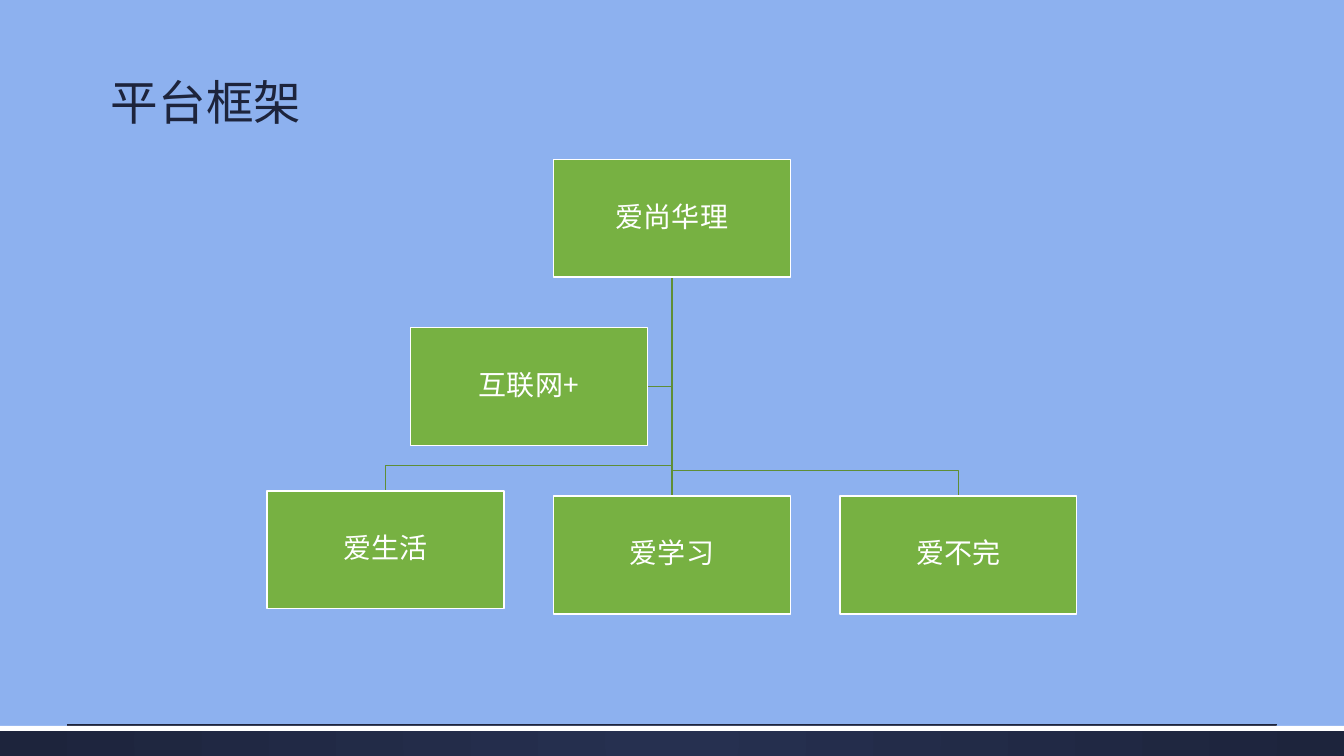
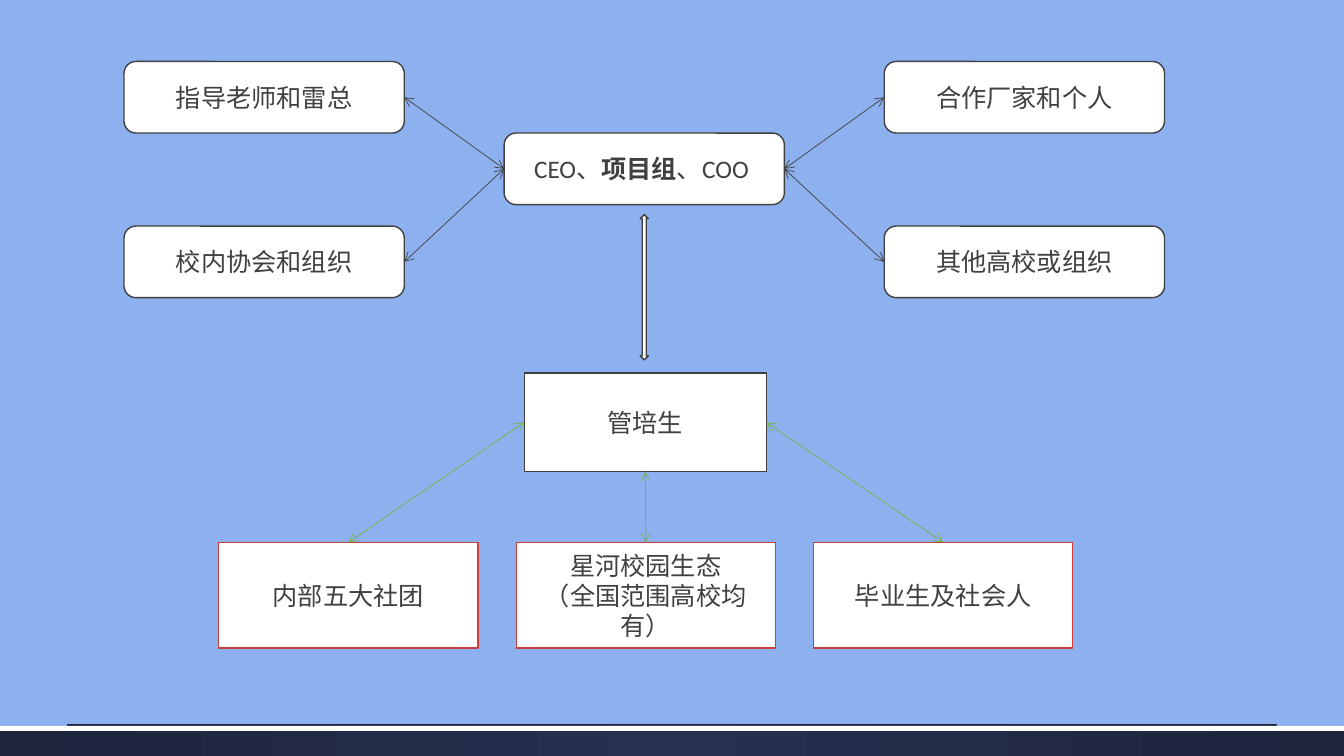
from dataclasses import dataclass

from lxml import etree
from pptx import Presentation
from pptx import util as u
from pptx.dml.color import RGBColor
from pptx.enum import shapes, text
from pptx.oxml.ns import qn

WIDTH, HEIGHT = 13.33, 7.5
SKY, NAVY, NAVY_LIGHT = "8DB1EF", "1D243C", "263050"
GREEN, GREEN_DARK, RED = "77B142", "5F8E35", "CB3E3A"
WHITE, GREY = "FFFFFF", "404040"
CJK, CJK_TITLE, LATIN = "Noto Sans CJK SC", "Noto Sans CJK JP", "Calibri"
RECT = shapes.MSO_SHAPE.RECTANGLE
ROUNDED = shapes.MSO_SHAPE.ROUNDED_RECTANGLE
TOP, LEFT, BOTTOM, RIGHT = range(4)


@dataclass(frozen=True)
class Node:
    label: str
    col: float
    row: float = 0
    bold: str = ""


@dataclass(frozen=True)
class Grid:
    """Places boxes of one size by column and row."""
    left: float
    top: float
    width: float
    height: float
    col_step: float = 0
    row_step: float = 0

    def box(self, node: Node) -> tuple[float, float, float, float]:
        return (self.left + node.col * self.col_step,
                self.top + node.row * self.row_step, self.width, self.height)


@dataclass(frozen=True)
class Style:
    fill: str
    line: str
    ink: str
    size: float
    latin: str
    shape: int = RECT
    inset: float = 0.1
    spacing: float = 1.0


ORG_STYLE = Style(GREEN, WHITE, WHITE, 20, CJK, inset=0.01, spacing=0.9)
PARTNER_STYLE = Style(WHITE, GREY, GREY, 18, LATIN, ROUNDED)
TRAINEE_STYLE = Style(WHITE, GREY, GREY, 18, LATIN)
GROUP_STYLE = Style(WHITE, RED, GREY, 18, LATIN)


def color(hex_code: str) -> RGBColor:
    return RGBColor.from_string(hex_code)


def set_line(line, hex_code: str, points: float) -> None:
    line.color.rgb = color(hex_code)
    line.width = u.Pt(points)


def set_font(run, latin: str, east_asian: str, size: float, ink: str,
             bold: bool = False) -> None:
    run.font.size = u.Pt(size)
    run.font.bold = bold
    run.font.color.rgb = color(ink)
    run.font.name = latin
    etree.SubElement(run.font._element, qn("a:ea"), typeface=east_asian)


def add_box(slide, kind: int, box: tuple, fill: str, line: str = ""):
    shape = slide.shapes.add_shape(kind, *map(u.Inches, box))
    shape.shadow.inherit = False
    shape.fill.solid()
    shape.fill.fore_color.rgb = color(fill)
    if line:
        set_line(shape.line, line, 1)
    else:
        shape.line.fill.background()
    return shape


def add_node(slide, node: Node, grid: Grid, style: Style):
    shape = add_box(slide, style.shape, grid.box(node), style.fill, style.line)
    frame = shape.text_frame
    frame.word_wrap = True
    frame.vertical_anchor = text.MSO_ANCHOR.MIDDLE
    frame.margin_left = frame.margin_right = u.Inches(style.inset)
    frame.margin_top = frame.margin_bottom = u.Inches(min(style.inset, 0.05))
    frame.text = node.label
    for paragraph in frame.paragraphs:
        paragraph.alignment = text.PP_ALIGN.CENTER
        paragraph.line_spacing = style.spacing
        if node.bold:
            before, strong, after = paragraph.text.partition(node.bold)
            paragraph.text = before
            paragraph.add_run().text = strong
            paragraph.add_run().text = after
        for run in paragraph.runs:
            set_font(run, style.latin, CJK, style.size, style.ink,
                     run.text == node.bold)
    return shape


def add_line(slide, start: tuple, end: tuple, hex_code: str):
    line = slide.shapes.add_connector(
        shapes.MSO_CONNECTOR.STRAIGHT, *map(u.Inches, (*start, *end)))
    set_line(line.line, hex_code, 0.5)
    etree.SubElement(line._element.spPr, qn("a:effectLst"))
    return line


def join(slide, source, source_side: int, target, target_side: int,
         hex_code: str) -> None:
    """Draws a double-headed arrow between two sides."""
    arrow = add_line(slide, (0, 0), (0, 0), hex_code)
    arrow.begin_connect(source, source_side)
    arrow.end_connect(target, target_side)
    outline = arrow.line._get_or_add_ln()
    for end in ("a:headEnd", "a:tailEnd"):
        etree.SubElement(outline, qn(end), type="arrow")


def add_branch(slide, points: list[tuple[float, float]]) -> None:
    start, *rest = [(u.Inches(x), u.Inches(y)) for x, y in points]
    builder = slide.shapes.build_freeform(*start)
    builder.add_line_segments(rest, close=False)
    branch = builder.convert_to_shape()
    branch.shadow.inherit = False
    branch.fill.background()
    set_line(branch.line, GREEN_DARK, 1)


def add_slide(deck, layout: int):
    """Adds a slide with the shared background and footer band."""
    slide = deck.slides.add_slide(deck.slide_layouts[layout])
    slide.background.fill.solid()
    slide.background.fill.fore_color.rgb = color(SKY)
    band = add_box(slide, RECT, (0, 0.96 * HEIGHT, WIDTH, 0.04 * HEIGHT), NAVY)
    band.fill.gradient()
    for stop, shade in zip(band.fill.gradient_stops, (NAVY_LIGHT, NAVY)):
        stop.color.rgb = color(shade)
    gradient = band._element.spPr.find(qn("a:gradFill"))
    gradient.remove(gradient.find(qn("a:lin")))
    circle = etree.SubElement(gradient, qn("a:path"), path="circle")
    etree.SubElement(circle, qn("a:fillToRect"),
                     dict.fromkeys("ltrb", "50000"))
    add_box(slide, RECT, (0, 0.96 * HEIGHT, WIDTH, 0.05), WHITE)
    add_line(slide, (0.05 * WIDTH, 7.19), (0.95 * WIDTH, 7.19), NAVY)
    return slide


def set_title(slide, wording: str) -> None:
    title = slide.shapes.title
    title.left, title.top, title.width, title.height = map(
        u.Inches, (1, 0, 10.87, 1.35))
    frame = title.text_frame
    frame.text = wording
    frame.vertical_anchor = text.MSO_ANCHOR.BOTTOM
    paragraph = frame.paragraphs[0]
    paragraph.alignment = text.PP_ALIGN.LEFT
    paragraph.line_spacing = 0.9
    set_font(paragraph.runs[0], CJK_TITLE, CJK_TITLE, 34, NAVY)


def build_framework(deck) -> None:
    slide = add_slide(deck, 5)
    set_title(slide, "平台框架")
    grid = Grid(2.65, 1.58, 2.35, 1.17, 1.42, 1.67)
    platform = Node("爱尚华理", 2)
    internet = Node("互联网+", 1, 1)
    services = [Node("爱生活", 0, 1.97), Node("爱学习", 2, 2),
                Node("爱不完", 4, 2)]

    # Branches from the platform
    left, top, width, height = grid.box(platform)
    trunk_x, trunk_top = left + width / 2, top + height
    left, top, width, height = grid.box(internet)
    side_y = top + height / 2
    add_branch(slide, [(trunk_x, trunk_top), (trunk_x, side_y),
                       (left + width, side_y)])
    for service in services:
        left, top, width, _ = grid.box(service)
        middle, bend = left + width / 2, top - 0.25
        add_branch(slide, [(trunk_x, trunk_top), (trunk_x, bend),
                           (middle, bend), (middle, top)])

    # Boxes
    for node in (platform, *services, internet):
        add_node(slide, node, grid, ORG_STYLE)


def build_organisation(deck) -> None:
    slide = add_slide(deck, 6)

    # Project team and its partners
    upper = Grid(1.23, 0.61, 2.78, 0.71, 3.77, 0.71)
    team = add_node(slide, Node("CEO、项目组、COO ", 1, 1, "项目组"),
                    upper, PARTNER_STYLE)
    partners = [Node("指导老师和雷总", 0), Node("校内协会和组织", 0, 2.3),
                Node("合作厂家和个人", 2), Node("其他高校或组织", 2, 2.3)]
    for partner in partners:
        box = add_node(slide, partner, upper, PARTNER_STYLE)
        inner, outer = (RIGHT, LEFT) if partner.col == 0 else (LEFT, RIGHT)
        join(slide, box, inner, team, outer, GREY)

    # Trainees below the team
    add_box(slide, shapes.MSO_SHAPE.UP_DOWN_ARROW, (6.35, 2.13, 0.08, 1.44),
            WHITE, GREY)
    trainees = add_node(slide, Node("管培生", 0), Grid(5.2, 3.7, 2.4, 0.98),
                        TRAINEE_STYLE)

    # Groups led by the trainees
    lower = Grid(2.17, 5.38, 2.57, 1.05, 2.95)
    labels = ("内部五大社团", "星河校园生态\n（全国范围高校均有）", "毕业生及社会人")
    for col, (label, side) in enumerate(zip(labels, (LEFT, BOTTOM, RIGHT))):
        group = add_node(slide, Node(label, col), lower, GROUP_STYLE)
        join(slide, trainees, side, group, TOP, GREEN)


def main() -> None:
    deck = Presentation()
    deck.slide_width, deck.slide_height = u.Inches(WIDTH), u.Inches(HEIGHT)
    build_framework(deck)
    build_organisation(deck)
    deck.save("out.pptx")


if __name__ == "__main__":
    main()
